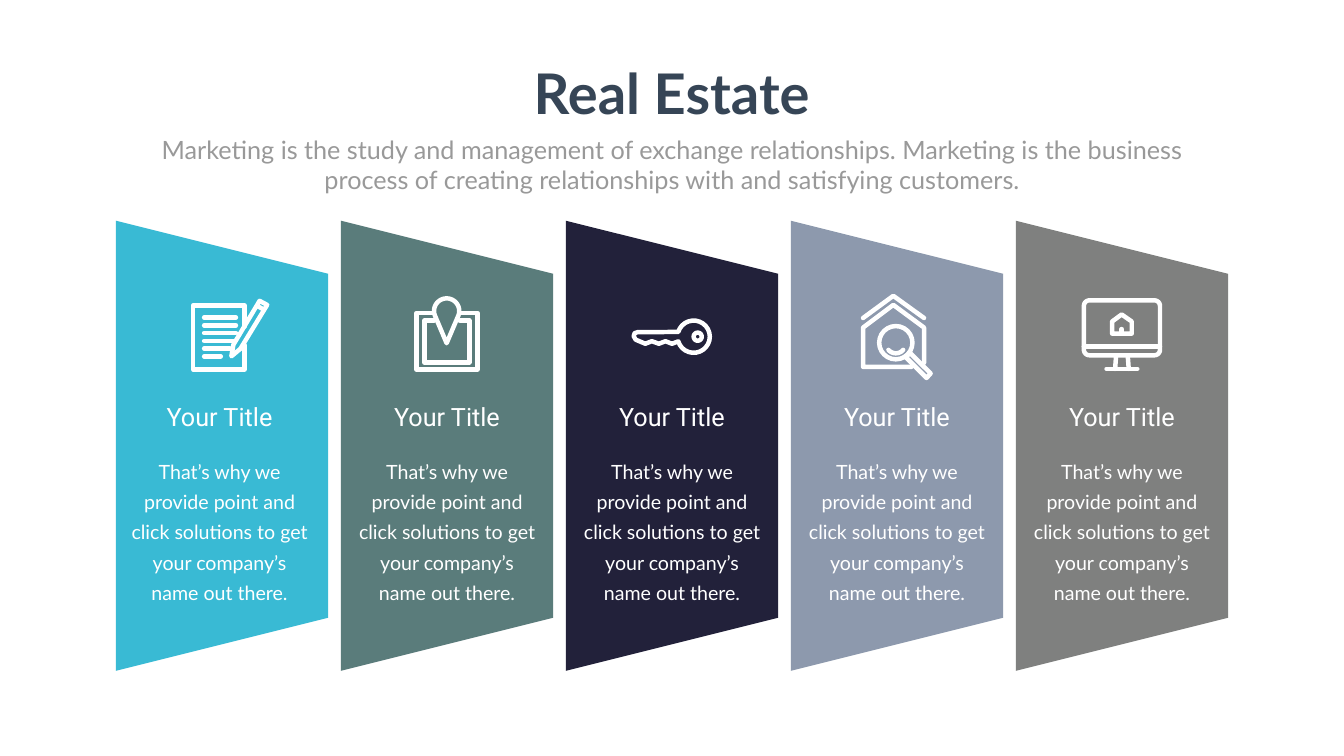
from math import cos, radians, sin

from lxml.etree import SubElement
from pptx import Presentation
from pptx.dml.color import RGBColor
from pptx.enum.shapes import MSO_SHAPE
from pptx.enum.text import MSO_ANCHOR, PP_ALIGN
from pptx.oxml.ns import qn
from pptx.util import Inches, Pt

WHITE = "FFFFFF"
CARD_TITLE = "Your Title"
CARD_BODY = ("That’s why we provide point and click solutions to get "
             "your company’s name out there.")
SUBTITLE = ("Marketing is the study and management of exchange relationships. "
            "Marketing is the business process of creating relationships with "
            "and satisfying customers.")

TITLE_FONT = {"name": "Lato", "size": Pt(80), "bold": True}
SUBTITLE_FONT = {"name": "Lato", "size": Pt(36)}
HEADING_FONT = {"name": "Roboto", "size": Pt(36)}
BODY_FONT = {"name": "Lato", "size": Pt(28)}


def color(hex_value):
    return RGBColor.from_string(hex_value)


def arc(cx, cy, radius, start, end, steps=24):
    """Points on a circle, angles in degrees, clockwise from the right."""
    angles = [radians(start + (end - start) * i / steps) for i in range(steps + 1)]
    return [(cx + radius * cos(a), cy + radius * sin(a)) for a in angles]


def rounded_box(left, top, right, bottom, radius):
    corners = [(left + radius, top + radius, 180), (right - radius, top + radius, 270),
               (right - radius, bottom - radius, 0), (left + radius, bottom - radius, 90)]
    return [p for x, y, a in corners for p in arc(x, y, radius, a, a + 90, 6)]


class SlideBuilder:
    """Holds the current slide and the shared icon style."""

    def __init__(self, slide, icon_color=WHITE, icon_stroke=Pt(6.4)):
        self.slide = slide
        self.icon_color = icon_color
        self.icon_stroke = icon_stroke

    def panel(self, center_x, center_y, height, width, fill):
        # Turned a quarter, so the long side stands on the left
        panel = self.slide.shapes.add_shape(
            MSO_SHAPE.TRAPEZOID, Inches(center_x - height / 2),
            Inches(center_y - width / 2), Inches(height), Inches(width))
        panel.rotation = 90
        panel.shadow.inherit = False
        panel.fill.solid()
        panel.fill.fore_color.rgb = color(fill)
        panel.line.fill.background()

    def icon(self, strokes):
        """Draw (points, closed) strokes as one outline."""
        builder = None
        for points, closed in strokes:
            start, *rest = [(Inches(x), Inches(y)) for x, y in points]
            if builder is None:
                builder = self.slide.shapes.build_freeform(*start)
            else:
                builder.move_to(*start)
            builder.add_line_segments(rest, close=closed)
        outline = builder.convert_to_shape()
        outline.shadow.inherit = False
        outline.fill.background()
        outline.line.color.rgb = color(self.icon_color)
        outline.line.width = self.icon_stroke
        line = outline.line._get_or_add_ln()
        line.set("cap", "rnd")
        SubElement(line, qn("a:round"))

    def text(self, content, left, top, width, height, font, fill,
             spacing=None, margins=(0.1, 0.05), wrap=True):
        box = self.slide.shapes.add_textbox(
            Inches(left), Inches(top), Inches(width), Inches(height))
        across, down = [Inches(m) for m in margins]
        frame_format = {"word_wrap": wrap, "vertical_anchor": MSO_ANCHOR.TOP,
                        "margin_left": across, "margin_right": across,
                        "margin_top": down, "margin_bottom": down}
        for name, value in frame_format.items():
            setattr(box.text_frame, name, value)
        paragraph = box.text_frame.paragraphs[0]
        paragraph.alignment = PP_ALIGN.CENTER
        if spacing:
            paragraph.line_spacing = spacing
        run = paragraph.add_run()
        run.text = content
        for name, value in font.items():
            setattr(run.font, name, value)
        run.font.color.rgb = color(fill)


# Icons: center lines of the strokes, in slide inches
WRITING_ENDS = [4.68, 4.68, 4.68, 4.62, 4.56, 4.38]
CONTRACT = [
    ([(4.85, 6.48), (4.85, 6.06), (3.83, 6.06), (3.83, 7.33), (4.85, 7.33),
      (4.85, 6.85)], False),
    ([(5.15, 5.97), (5.3, 6.05), (4.77, 6.92), (4.59, 7.07), (4.63, 6.84)], True),
    ([(5.1, 6.07), (5.23, 6.14)], False),
] + [([(4.05, 6.3 + 0.154 * row), (end, 6.3 + 0.154 * row)], False)
     for row, end in enumerate(WRITING_ENDS)]

LOCATION = [
    ([(8.59, 6.21), (8.26, 6.21), (8.26, 7.33), (9.47, 7.33), (9.47, 6.21),
      (9.14, 6.21)], False),
    ([(8.61, 6.36), (8.42, 6.36), (8.42, 7.19), (9.31, 7.19), (9.31, 6.36),
      (9.12, 6.36)], False),
    (arc(8.86, 6.17, 0.25, 160, 380) + [(8.86, 6.81)], True),
]

KEY = [
    (arc(13.76, 6.68, 0.32, 197, 523)
     + [(13.33, 6.82), (13.2, 6.77), (13.07, 6.82), (12.93, 6.77), (12.8, 6.82),
        (12.61, 6.74), (12.57, 6.67), (12.59, 6.61), (12.65, 6.59)], True),
    (arc(13.84, 6.68, 0.08, 0, 360), True),
]

HOUSE_SEARCH = [
    ([(17.12, 6.31), (17.72, 5.87), (18.33, 6.31)], False),
    ([(18.33, 7.2), (18.33, 6.5), (17.72, 6.05), (17.12, 6.5), (17.12, 7.28),
      (18.08, 7.28)], False),
    (arc(17.77, 6.8, 0.33, 0, 360), True),
    (arc(17.77, 6.82, 0.19, 40, 140), False),
    ([(18.46, 7.41), (18.38, 7.5), (17.97, 7.09), (18.05, 7)], True),
]

MONITOR = [
    (rounded_box(21.5, 5.96, 23.01, 7.05, 0.11), True),
    ([(21.5, 6.88), (23.01, 6.88)], False),
    ([(22.14, 7.05), (22.12, 7.32)], False),
    ([(22.37, 7.05), (22.39, 7.32)], False),
    ([(21.95, 7.32), (22.56, 7.32)], False),
    ([(22.06, 6.62), (22.06, 6.38), (22.25, 6.24), (22.45, 6.38), (22.45, 6.62)], True),
    ([(22.25, 6.53), (22.25, 6.6)], False),
]

# Panel fill, icon, sideways shift of the text
CARDS = [
    ("39BAD4", CONTRACT, -0.05),
    ("5A7C7B", LOCATION, 0),
    ("22213A", KEY, 0),
    ("8D99AD", HOUSE_SEARCH, 0),
    ("7F807F", MONITOR, 0),
]
FIRST_CENTER, CARD_PITCH = 4.405, 4.4625


def main():
    deck = Presentation()
    deck.slide_width, deck.slide_height = Inches(26.66), Inches(15)
    builder = SlideBuilder(deck.slides.add_slide(deck.slide_layouts[6]))

    # Header
    builder.text("Real Estate", 10.41, 1.12, 5.83, 1.45, TITLE_FONT, "364556", wrap=False)
    builder.text(SUBTITLE, 2.92, 2.61, 20.82, 1.31, SUBTITLE_FONT, "999999")

    # Cards
    for index, (fill, icon, shift) in enumerate(CARDS):
        center = FIRST_CENTER + index * CARD_PITCH
        builder.panel(center, 8.845, 8.93, 4.21, fill)
        builder.icon(icon)
        middle = center + shift
        builder.text(CARD_TITLE, middle - 1.735, 7.92, 3.47, 0.71, HEADING_FONT, WHITE)
        builder.text(CARD_BODY, middle - 1.855, 8.97, 3.71, 3.05, BODY_FONT, WHITE,
                     spacing=Pt(43), margins=(0.05, 0.03))

    deck.save("out.pptx")


if __name__ == "__main__":
    main()
